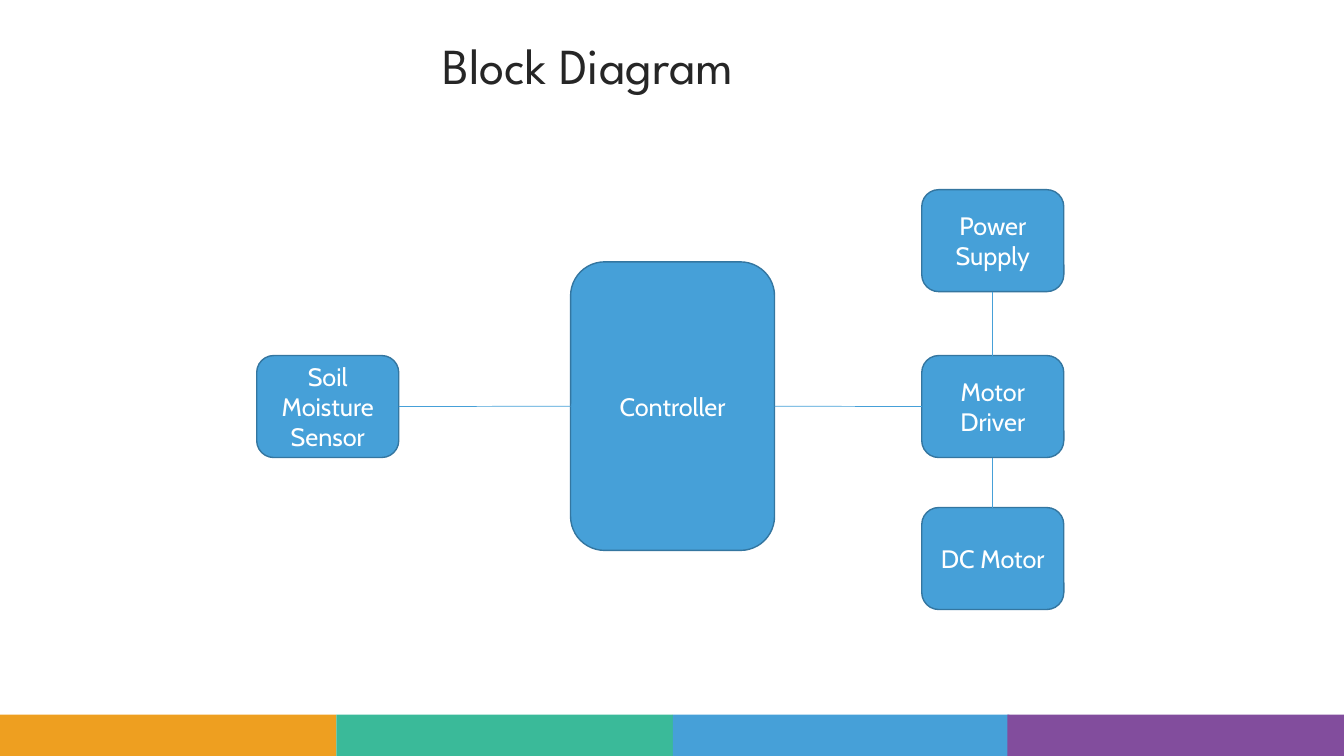
from lxml import etree
from pptx import Presentation
from pptx.dml.color import RGBColor
from pptx.enum.shapes import MSO_CONNECTOR, MSO_SHAPE
from pptx.enum.text import MSO_ANCHOR, PP_ALIGN
from pptx.oxml.ns import qn
from pptx.util import Cm, Pt

RECTANGLE = MSO_SHAPE.RECTANGLE
ROUNDED = MSO_SHAPE.ROUNDED_RECTANGLE
STRAIGHT = MSO_CONNECTOR.STRAIGHT
MIDDLE = MSO_ANCHOR.MIDDLE
CENTER = PP_ALIGN.CENTER
TOP, LEFT, BOTTOM, RIGHT = range(4)

PAGE_WIDTH, PAGE_HEIGHT = 33.87, 19.05
BAND_WIDTH, BAND_HEIGHT = 8.48, 1.04
BAND_COLORS = ["EE9F20", "3ABA99", "46A0D8", "824D9D"]
BLOCK_WIDTH, BLOCK_HEIGHT = 3.58, 2.57
SENSOR_LEFT, DRIVER_LEFT = 6.47, 23.23
MIDDLE_ROW = 8.96


def color(value):
    return RGBColor.from_string(value)


class DiagramPage:
    blue = "46A0D8"
    outline = "3476A0"
    title_font = "League Spartan"
    body_font = "Cabin"

    def __init__(self, page):
        self.page = page

    def set_text(self, frame, text, font_name, size, text_color):
        frame.word_wrap = True
        frame.vertical_anchor = MIDDLE
        para = frame.paragraphs[0]
        para.text = text
        para.font.name = font_name
        para.font.size = Pt(size)
        para.font.color.rgb = color(text_color)
        return para

    def shape(self, kind, left, top, width, height, fill):
        shape = self.page.shapes.add_shape(
            kind, Cm(left), Cm(top), Cm(width), Cm(height))
        shape.shadow.inherit = False
        shape.fill.solid()
        shape.fill.fore_color.rgb = color(fill)
        return shape

    def band(self, left, fill):
        band = self.shape(RECTANGLE, left, PAGE_HEIGHT - BAND_HEIGHT,
                          BAND_WIDTH, BAND_HEIGHT, fill)
        band.line.fill.background()

    def title(self, text, left, top, width, height):
        box = self.page.shapes.add_textbox(
            Cm(left), Cm(top), Cm(width), Cm(height))
        para = self.set_text(box.text_frame, text, self.title_font, 36, "262626")
        para.line_spacing = 0.9

    def block(self, text, left, top, width=BLOCK_WIDTH, height=BLOCK_HEIGHT):
        block = self.shape(ROUNDED, left, top, width, height, self.blue)
        block.line.color.rgb = color(self.outline)
        block.line.width = Pt(1)
        para = self.set_text(block.text_frame, text, self.body_font, 18, "FFFFFF")
        para.alignment = CENTER
        return block

    def link(self, start, start_side, end, end_side):
        link = self.page.shapes.add_connector(STRAIGHT, 0, 0, 0, 0)
        link.begin_connect(start, start_side)
        link.end_connect(end, end_side)
        link.line.color.rgb = color(self.blue)
        link.line.width = Pt(0.5)
        etree.SubElement(link._element.spPr, qn("a:effectLst"))


def main():
    deck = Presentation()
    deck.slide_width, deck.slide_height = Cm(PAGE_WIDTH), Cm(PAGE_HEIGHT)
    diagram = DiagramPage(deck.slides.add_slide(deck.slide_layouts[6]))

    for index, fill in enumerate(BAND_COLORS):
        diagram.band(min(index * BAND_WIDTH, PAGE_WIDTH - BAND_WIDTH), fill)
    diagram.title("Block Diagram", 10.9, 0.38, 9.65, 2.69)

    controller = diagram.block("Controller", 14.38, 6.6, 5.14, 7.27)
    sensor = diagram.block("Soil Moisture Sensor", SENSOR_LEFT, MIDDLE_ROW)
    driver = diagram.block("Motor Driver", DRIVER_LEFT, MIDDLE_ROW)
    supply = diagram.block("Power Supply", DRIVER_LEFT, 4.78)
    motor = diagram.block("DC Motor", DRIVER_LEFT, 12.79)

    diagram.link(sensor, RIGHT, controller, LEFT)
    diagram.link(controller, RIGHT, driver, LEFT)
    diagram.link(supply, BOTTOM, driver, TOP)
    diagram.link(driver, BOTTOM, motor, TOP)

    deck.save("out.pptx")


if __name__ == "__main__":
    main()
